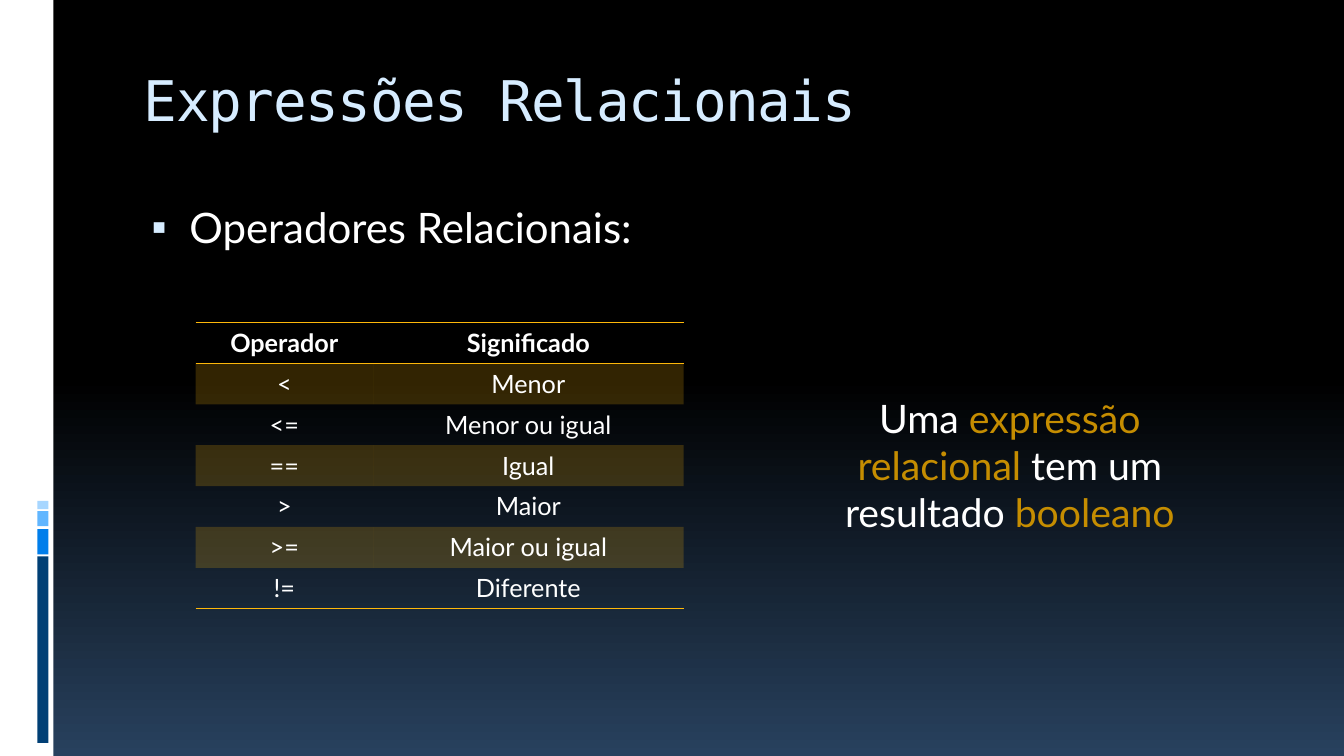
from lxml.etree import SubElement as Sub
from pptx import Presentation
from pptx.dml.color import RGBColor as Rgb
from pptx.enum.shapes import MSO_SHAPE as Shape
from pptx.enum.text import PP_ALIGN as Align
from pptx.oxml import parse_xml
from pptx.oxml.ns import nsdecls, qn
from pptx.util import Inches, Pt

HUES = {
    "white": "FFFFFF", "black": "000000", "dusk": "28415E", "pale": "D6ECFF",
    "navy": "003F75", "blue": "007EEB", "sky": "61B6FF", "ice": "A7D6FF",
    "gold": "FEB80A", "amber": "C58D01",
}
MONO, SANS = "DejaVu Sans Mono", "Lato"


def hue(name):
    return Rgb.from_string(HUES[name])


def add_run(para, text, color="white", **form):
    run = para.add_run()
    run.text = text
    run.font.color.rgb = hue(color)
    for key, value in form.items():
        setattr(run.font, key, value)
    return run


def add_text(slide, box, **form):
    frame = slide.shapes.add_textbox(*map(Inches, box)).text_frame
    frame.word_wrap = True
    for key, value in form.items():
        setattr(frame, key, value)
    return frame.paragraphs[0]


def add_back(slide):
    fill = slide.background.fill
    fill.gradient()
    fill.gradient_angle = 270
    for stop, (place, name) in zip(fill.gradient_stops, [(0.5, "black"), (1, "dusk")]):
        stop.position = place
        stop.color.rgb = hue(name)


def add_bar(slide, box, name):
    bar = slide.shapes.add_shape(Shape.RECTANGLE, *map(Inches, box))
    bar.shadow.inherit = False
    bar.fill.solid()
    bar.fill.fore_color.rgb = hue(name)
    bar.line.fill.background()


def add_side(slide, box):
    left, top, width, height = box
    add_bar(slide, box, "white")
    # Stacked accents, from the top down
    stack = [(4.97, 0.08, "ice"), (5.07, 0.15, "sky"),
             (5.25, 0.25, "blue"), (5.52, 1.85, "navy")]
    for drop, tall, name in stack:
        add_bar(slide, (left + 0.37, top + drop, 0.11, tall), name)


def add_title(slide, box):
    para = add_text(slide, box, margin_top=Inches(0.09))
    run = add_run(para, "Expressões Relacionais", "pale", size=Pt(40), name=MONO)
    run.font._element.set("spc", "-100")


def add_bullet(slide, box):
    para = add_text(slide, box)
    para.space_before = Pt(7)
    add_run(para, "Operadores Relacionais:", size=Pt(30), name=SANS)
    props = para._p.get_or_add_pPr()
    props.set("marL", str(Inches(0.45)))
    props.set("indent", str(Inches(-0.38)))
    tint = Sub(props, qn("a:buClr"))
    Sub(tint, qn("a:srgbClr"), val=HUES["pale"])
    Sub(props, qn("a:buSzPct"), val="95000")
    Sub(props, qn("a:buFont"), typeface=SANS)
    Sub(props, qn("a:buChar"), char="▪")


def add_edge(cell, side):
    cell._tc.get_or_add_tcPr().insert(0, parse_xml(
        f'<a:{side} {nsdecls("a")} w="{Pt(1)}"><a:solidFill>'
        f'<a:srgbClr val="{HUES["gold"]}"/></a:solidFill></a:{side}>'))


def add_grid(slide, box):
    rows = [("Operador", "Significado"), ("<", "Menor"), ("<=", "Menor ou igual"),
            ("==", "Igual"), (">", "Maior"), (">=", "Maior ou igual"),
            ("!=", "Diferente")]
    last = len(rows) - 1
    table = slide.shapes.add_table(len(rows), 2, *map(Inches, box)).table
    table.first_row = table.horz_banding = False
    # Plain style without grid
    style = table._tbl.tblPr.find(qn("a:tableStyleId"))
    style.text = "{2D5ABB26-0587-4C30-8999-92F81FD0307C}"
    for col, wide in zip(table.columns, (1.76, box[2] - 1.76)):
        col.width = Inches(wide)
    for i, row in enumerate(rows):
        for j, text in enumerate(row):
            cell = table.cell(i, j)
            para = cell.text_frame.paragraphs[0]
            para.alignment = Align.CENTER
            add_run(para, text, size=Pt(18), name=SANS, bold=i == 0)
            # Translucent bands on odd rows
            if i % 2:
                cell.fill.solid()
                cell.fill.fore_color.rgb = hue("gold")
                tint = cell._tc.tcPr.find(".//" + qn("a:srgbClr"))
                Sub(tint, qn("a:alpha"), val="20000")
            else:
                cell.fill.background()
            # Rules around the header and below the last row
            if i in (0, last):
                add_edge(cell, "lnB")
            if i == 0:
                add_edge(cell, "lnT")


def add_note(slide, box):
    para = add_text(slide, box)
    para.alignment = Align.CENTER
    parts = [("Uma", "white"), (" expressão relacional ", "amber"),
             ("tem um resultado ", "white"), ("booleano", "amber")]
    for text, name in parts:
        add_run(para, text, name, size=Pt(28), name=SANS)


def main():
    deck = Presentation()
    deck.slide_width, deck.slide_height = Inches(13.33), Inches(7.5)
    slide = deck.slides.add_slide(deck.slide_layouts[6])
    add_back(slide)
    add_side(slide, (0, 0, 0.53, 7.5))
    add_title(slide, (1.33, 0.56, 11.33, 1))
    add_bullet(slide, (1.33, 1.95, 11.33, 5))
    add_grid(slide, (1.94, 3.2, 4.84, 2.84))
    add_note(slide, (7.77, 3.86, 4.49, 1.51))
    deck.save("out.pptx")


main()
